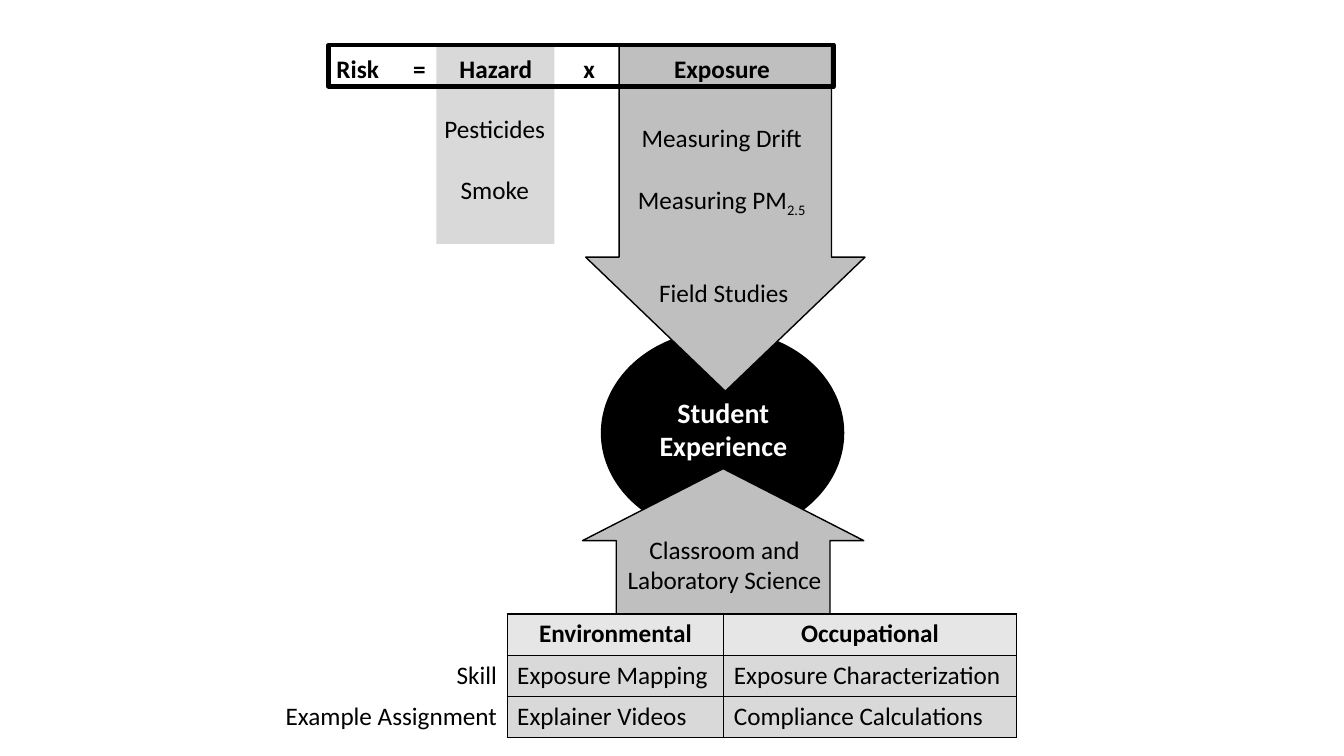
from lxml.etree import SubElement
from pptx import Presentation
from pptx.dml.color import RGBColor
from pptx.enum.shapes import MSO_SHAPE
from pptx.enum.text import MSO_ANCHOR, PP_ALIGN
from pptx.oxml.ns import qn
from pptx.util import Cm, Pt

FONT = "Calibri"
COLORS = {
    "black": "000000",
    "white": "FFFFFF",
    "arrow": "BFBFBF",
    "panel": "D9D9D9",
    "header": "E7E6E6",
}
ARROW_ADJUSTMENTS = (0.76, 0.48)
BLANK_LINE = 22


def rgb(name):
    return RGBColor.from_string(COLORS[name])


def format_paragraph(p, align=PP_ALIGN.CENTER, size=18, color="black", bold=False):
    p.alignment = align
    for r in p.runs:
        r.font.name = FONT
        r.font.size = Pt(size)
        r.font.bold = bold
        r.font.color.rgb = rgb(color)


def write_lines(tf, lines, gap=0, **style):
    tf.word_wrap = True
    tf.text = "\n".join(lines)
    for i, p in enumerate(tf.paragraphs):
        p.space_before = Pt(gap if i else 0)
        format_paragraph(p, **style)


def add_box(s, kind, box, fill=None, line=0):
    sp = s.shapes.add_shape(kind, *map(Cm, box))
    sp.shadow.inherit = False
    if fill:
        sp.fill.solid()
        sp.fill.fore_color.rgb = rgb(fill)
    else:
        sp.fill.background()
    if line:
        sp.line.color.rgb = rgb("black")
        sp.line.width = Pt(line)
    else:
        sp.line.fill.background()
    return sp


def add_arrow(s, kind, box):
    sp = add_box(s, kind, box, "arrow", 1)
    for i, value in enumerate(ARROW_ADJUSTMENTS):
        sp.adjustments[i] = value


def add_label(s, box, lines, **style):
    tf = s.shapes.add_textbox(*map(Cm, box)).text_frame
    write_lines(tf, lines, **style)
    return tf


def add_tab_stops(p, stops):
    tabs = SubElement(p._p.get_or_add_pPr(), qn("a:tabLst"))
    for stop in stops:
        SubElement(tabs, qn("a:tab"), pos=str(Cm(stop)), algn="l")


def set_borders(cell, sides):
    tcPr = cell._tc.get_or_add_tcPr()
    for side in "LRTB":
        ln = SubElement(tcPr, qn(f"a:ln{side}"), w=str(Pt(1)))
        if side in sides:
            fill = SubElement(ln, qn("a:solidFill"))
            SubElement(fill, qn("a:srgbClr"), val=COLORS["black"])
        else:
            SubElement(ln, qn("a:noFill"))


def add_skills_table(s):
    rows = [
        ("", "Environmental", "Occupational"),
        ("Skill", "Exposure Mapping", "Exposure Characterization"),
        ("Example Assignment", "Explainer Videos", "Compliance Calculations"),
    ]
    widths, row_height = (6.99, 5.46, 7.37), 1.04
    table = s.shapes.add_table(
        len(rows), len(widths), Cm(5.79), Cm(15.47),
        Cm(sum(widths)), Cm(row_height * len(rows))).table
    for column, width in zip(table.columns, widths):
        column.width = Cm(width)
    for i, row in enumerate(rows):
        table.rows[i].height = Cm(row_height)
        for j, text in enumerate(row):
            if j == 0:
                fill, align, sides = "white", PP_ALIGN.RIGHT, "R"
            elif i == 0:
                fill, align, sides = "header", PP_ALIGN.CENTER, "LRTB"
            else:
                fill, align, sides = "panel", PP_ALIGN.LEFT, "LRTB"
            cell = table.cell(i, j)
            cell.text_frame.text = text
            format_paragraph(cell.text_frame.paragraphs[0], align, bold=i == 0)
            set_borders(cell, sides)
            cell.fill.solid()
            cell.fill.fore_color.rgb = rgb(fill)


def add_risk_formula(s):
    tf = add_label(s, (8.23, 1.22, 12.78, 1.02),
                   ["Risk\t=\tHazard\tx\tExposure"],
                   align=PP_ALIGN.LEFT, bold=True)
    add_tab_stops(tf.paragraphs[0], (1.93, 3.1, 6.22, 8.51))


def add_exposure_topics(s):
    tf = add_label(s, (15.09, 2.97, 6.2, 2.57),
                   ["Measuring Drift", "Measuring PM"], gap=BLANK_LINE)
    p = tf.paragraphs[1]
    r = p.add_run()
    r.text = "2.5"
    format_paragraph(p)
    r.font._element.set("baseline", "-25000")


def main():
    prs = Presentation()
    prs.slide_width, prs.slide_height = Cm(33.87), Cm(19.05)
    s = prs.slides.add_slide(prs.slide_layouts[6])

    # Student circle, classroom arrow and skills table
    add_box(s, MSO_SHAPE.OVAL, (15.16, 8.33, 6.1, 5.16), "black", 1)
    add_arrow(s, MSO_SHAPE.UP_ARROW, (14.68, 11.81, 7.09, 3.78))
    add_skills_table(s)

    # Exposure arrow and hazard column
    add_arrow(s, MSO_SHAPE.DOWN_ARROW, (14.76, 1.12, 7.04, 8.74))
    add_box(s, MSO_SHAPE.RECTANGLE, (11, 1.12, 2.97, 5.03), "panel")

    # Risk formula with its topics and frame
    add_risk_formula(s)
    add_label(s, (10.87, 2.72, 3.2, 2.57), ["Pesticides", "Smoke"], gap=BLANK_LINE)
    add_exposure_topics(s)
    add_box(s, MSO_SHAPE.RECTANGLE, (8.28, 1.14, 12.73, 1.04), line=3)

    # Labels along the centre
    add_label(s, (15.14, 6.86, 6.2, 1.02), ["Field Studies"])
    student = add_box(s, MSO_SHAPE.RECTANGLE, (16.26, 9.83, 3.94, 1.96), "black")
    student.text_frame.vertical_anchor = MSO_ANCHOR.TOP
    write_lines(student.text_frame, ["Student", "Experience"],
                size=20, color="white", bold=True)
    add_label(s, (15.16, 13.34, 6.2, 1.8), ["Classroom and Laboratory Science"])

    prs.save("out.pptx")


main()
